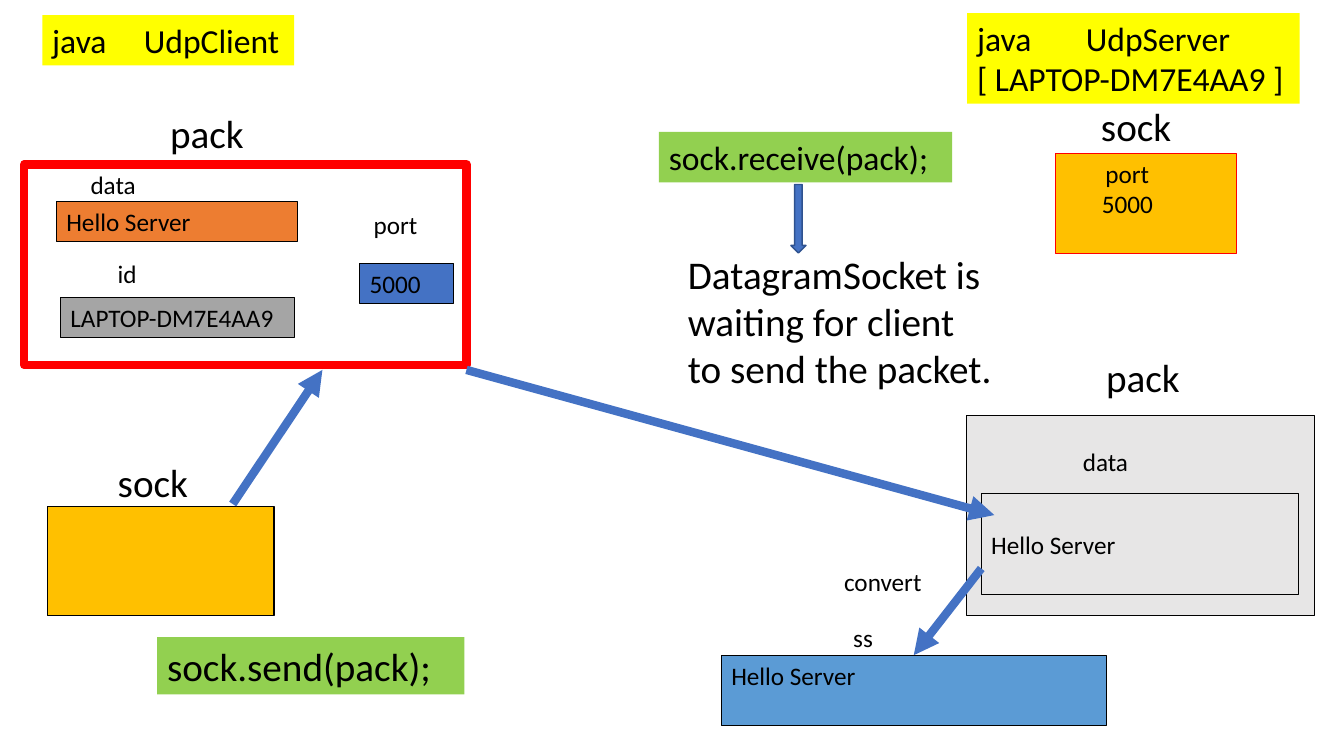
import pptx
import pptx.util
import pptx.dml.color
import pptx.enum.shapes
import pptx.enum.text
import pptx.oxml.ns
import lxml.etree

Inches = pptx.util.Inches
Pt = pptx.util.Pt
RGBColor = pptx.dml.color.RGBColor
SHAPE = pptx.enum.shapes.MSO_SHAPE
ANCHOR = pptx.enum.text.MSO_ANCHOR
ALIGN = pptx.enum.text.PP_ALIGN
qn = pptx.oxml.ns.qn

BLACK = RGBColor(0x00, 0x00, 0x00)
RED = RGBColor(0xFF, 0x00, 0x00)
YELLOW = RGBColor(0xFF, 0xFF, 0x00)
GOLD = RGBColor(0xFF, 0xC0, 0x00)
GREEN = RGBColor(0x92, 0xD0, 0x50)
ORANGE = RGBColor(0xED, 0x7D, 0x31)
GRAY = RGBColor(0xA5, 0xA5, 0xA5)
PALE_GRAY = RGBColor(0xE7, 0xE6, 0xE6)
SKY = RGBColor(0x5B, 0x9B, 0xD5)
BLUE = RGBColor(0x44, 0x72, 0xC4)
NAVY = RGBColor(0x2F, 0x52, 0x8F)

FONT = "Calibri"
SMALL, MEDIUM, LARGE = 18, 24, 28
THIN, THICK = 0.75, 6


def write(shape, text, size):
    """Fill a shape's text frame, one paragraph per line of text."""
    frame = shape.text_frame
    frame.word_wrap = True
    frame.vertical_anchor = ANCHOR.TOP
    frame.text = text
    for paragraph in frame.paragraphs:
        paragraph.alignment = ALIGN.LEFT
        paragraph.font.name = FONT
        paragraph.font.size = Pt(size)
        paragraph.font.color.rgb = BLACK


def add_label(slide, left, top, width, height, text, size=SMALL):
    label = slide.shapes.add_textbox(*map(Inches, (left, top, width, height)))
    write(label, text, size)


def add_box(slide, left, top, width, height, fill=None, line=BLACK,
            weight=THIN, text="", size=SMALL, kind=SHAPE.RECTANGLE):
    box = slide.shapes.add_shape(kind, *map(Inches, (left, top, width, height)))
    box.shadow.inherit = False
    if fill is None:
        box.fill.background()
    else:
        box.fill.solid()
        box.fill.fore_color.rgb = fill
    if line is None:
        box.line.fill.background()
    else:
        box.line.color.rgb = line
        box.line.width = Pt(weight)
    if text:
        write(box, text, size)
    return box


def set_tab_stop(box, position):
    """Give the first paragraph a left tab stop."""
    properties = box.text_frame.paragraphs[0]._p.get_or_add_pPr()
    stops = lxml.etree.Element(qn("a:tabLst"))
    lxml.etree.SubElement(stops, qn("a:tab"), pos=str(Inches(position)), algn="l")
    properties.insert(0, stops)


def add_arrow(slide, start, end):
    arrow = slide.shapes.add_connector(
        pptx.enum.shapes.MSO_CONNECTOR.STRAIGHT, *map(Inches, start + end))
    arrow.line.color.rgb = BLUE
    arrow.line.width = Pt(THICK)
    lxml.etree.SubElement(arrow.line._get_or_add_ln(), qn("a:tailEnd"), type="triangle")
    lxml.etree.SubElement(arrow._element.spPr, qn("a:effectLst"))


def add_client(slide):
    # Packet with its data, id and port
    add_box(slide, 0.24, 1.63, 4.39, 1.99, line=RED, weight=THICK)
    command = add_box(slide, 0.42, 0.15, 2.5, 0.5, YELLOW, None,
                      text="java\tUdpClient", size=MEDIUM)
    set_tab_stop(command, 0.91)
    add_label(slide, 1.59, 1.04, 1.51, 0.57, "pack", LARGE)
    add_label(slide, 0.8, 1.63, 0.75, 0.4, "data")
    add_box(slide, 0.56, 2, 2.39, 0.4, ORANGE, text="Hello Server")
    add_label(slide, 1.07, 2.51, 0.48, 0.4, "id")
    add_box(slide, 0.6, 2.95, 2.32, 0.4, GRAY, text="LAPTOP-DM7E4AA9")
    add_label(slide, 3.61, 2.03, 0.69, 0.4, "port")
    add_box(slide, 3.57, 2.61, 0.93, 0.4, BLUE, text="5000")

    # Sending socket
    add_label(slide, 1.07, 4.5, 1.05, 0.57, "sock", LARGE)
    add_box(slide, 0.47, 5.02, 2.25, 1.09, GOLD)
    add_box(slide, 1.56, 6.32, 3.05, 0.57, GREEN, None,
            text="sock.send(pack);", size=LARGE)


def add_server(slide):
    # Listening socket
    command = add_box(slide, 9.6, 0.13, 3.3, 0.9, YELLOW, None,
                      text="java\tUdpServer\n[ LAPTOP-DM7E4AA9 ]", size=MEDIUM)
    set_tab_stop(command, 1.08)
    add_label(slide, 10.83, 0.97, 1.36, 0.57, "sock", LARGE)
    socket = add_box(slide, 10.48, 1.52, 1.79, 1, GOLD, RED, text="port\n5000")
    socket.text_frame.margin_right = Inches(0.47)
    for paragraph in socket.text_frame.paragraphs:
        paragraph.alignment = ALIGN.CENTER

    # Waiting for a packet
    add_box(slide, 6.54, 1.31, 2.91, 0.5, GREEN, None,
            text="sock.receive(pack);", size=MEDIUM)
    add_box(slide, 7.85, 1.83, 0.15, 0.68, BLUE, NAVY, 1, kind=SHAPE.DOWN_ARROW)
    add_label(slide, 6.73, 2.43, 3.22, 1.5,
              "DatagramSocket is waiting for client to send the packet.", LARGE)

    # Received packet
    add_label(slide, 10.88, 3.46, 1.54, 0.57, "pack", LARGE)
    add_box(slide, 9.59, 4.12, 3.46, 1.99, PALE_GRAY)
    add_label(slide, 10.65, 4.38, 1.54, 0.4, "data")
    data = add_box(slide, 9.74, 4.9, 3.15, 1, text="Hello Server")
    data.text_frame.vertical_anchor = ANCHOR.MIDDLE

    # Converted string
    add_label(slide, 8.28, 5.57, 1.2, 0.4, "convert")
    add_label(slide, 8.37, 6.12, 0.61, 0.4, "ss")
    add_box(slide, 7.16, 6.5, 3.82, 0.7, SKY, text="Hello Server")


def main():
    presentation = pptx.Presentation()
    presentation.slide_width = Inches(13.34)
    presentation.slide_height = Inches(7.5)
    slide = presentation.slides.add_slide(presentation.slide_layouts[6])

    add_client(slide)
    add_server(slide)

    # Path of the message: socket, packet, server, string
    add_arrow(slide, (2.31, 5), (3.2, 3.67))
    add_arrow(slide, (4.63, 3.67), (9.87, 5.11))
    add_arrow(slide, (9.74, 5.64), (9.07, 6.5))

    presentation.save("out.pptx")


main()
